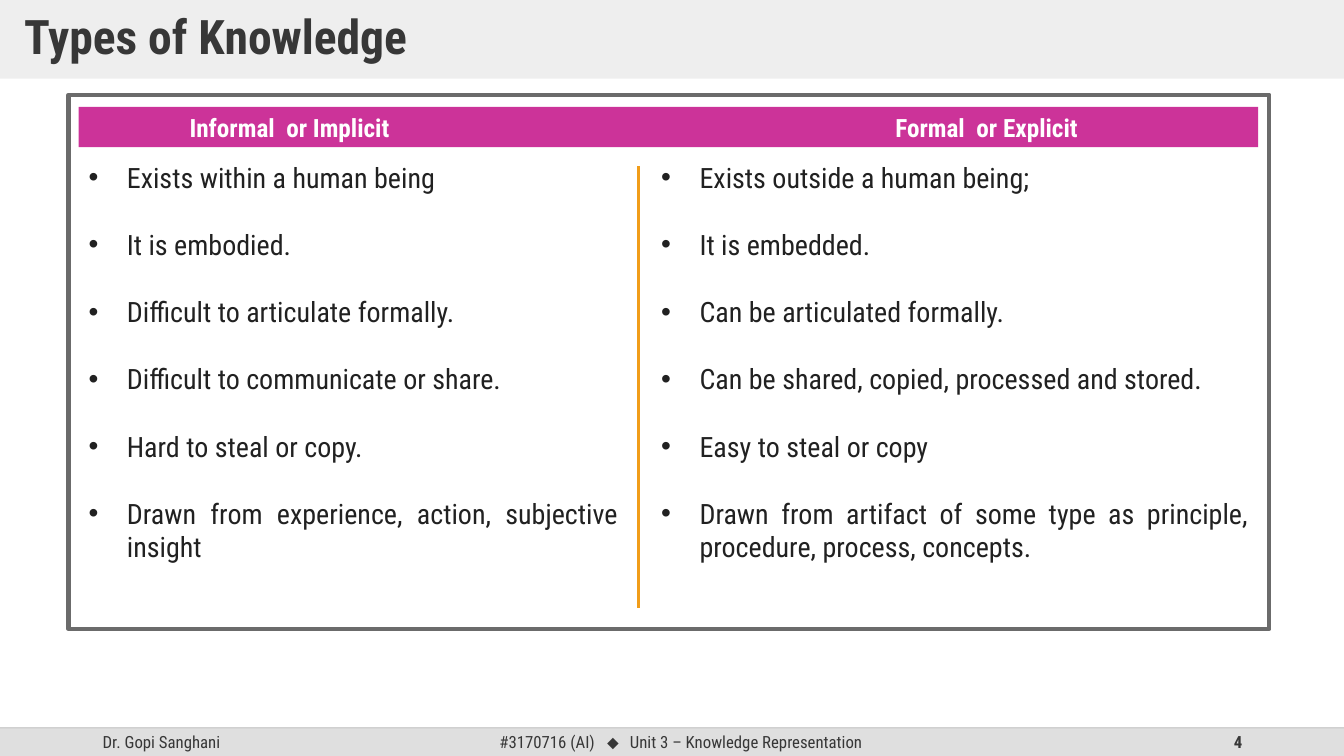
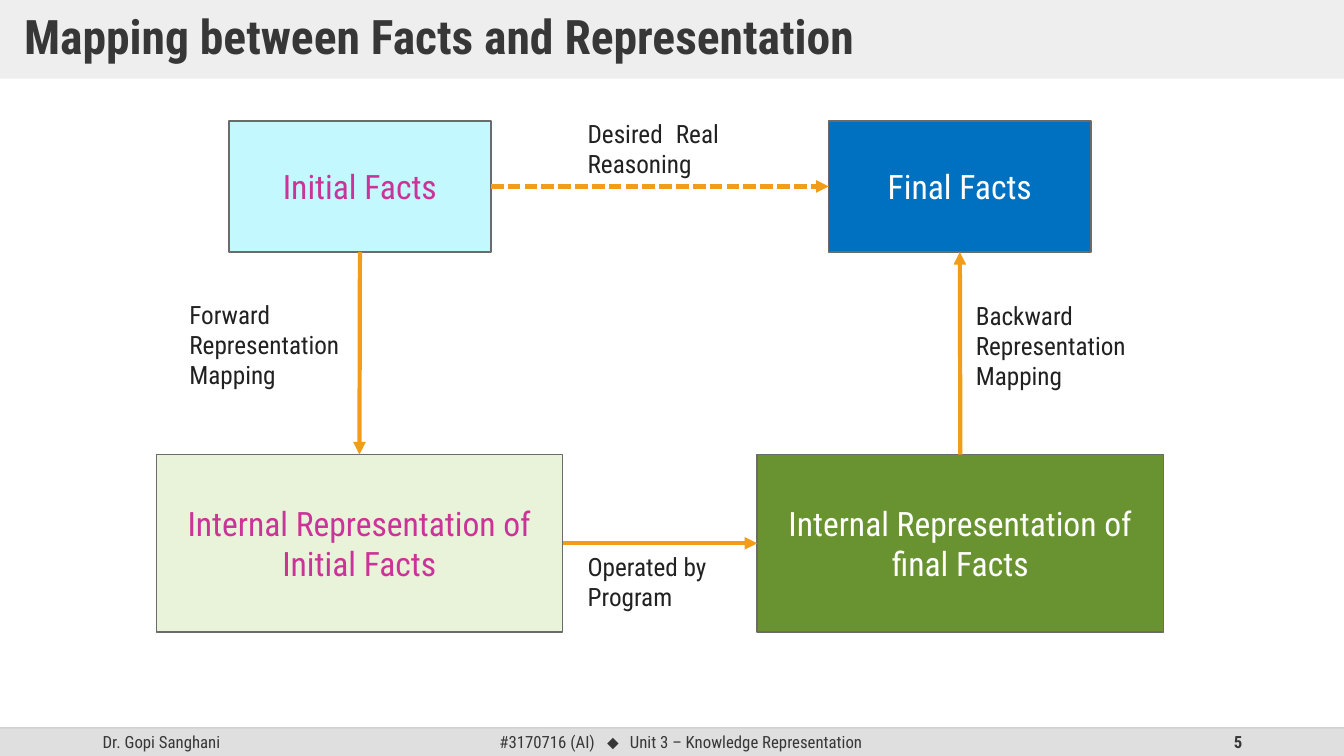
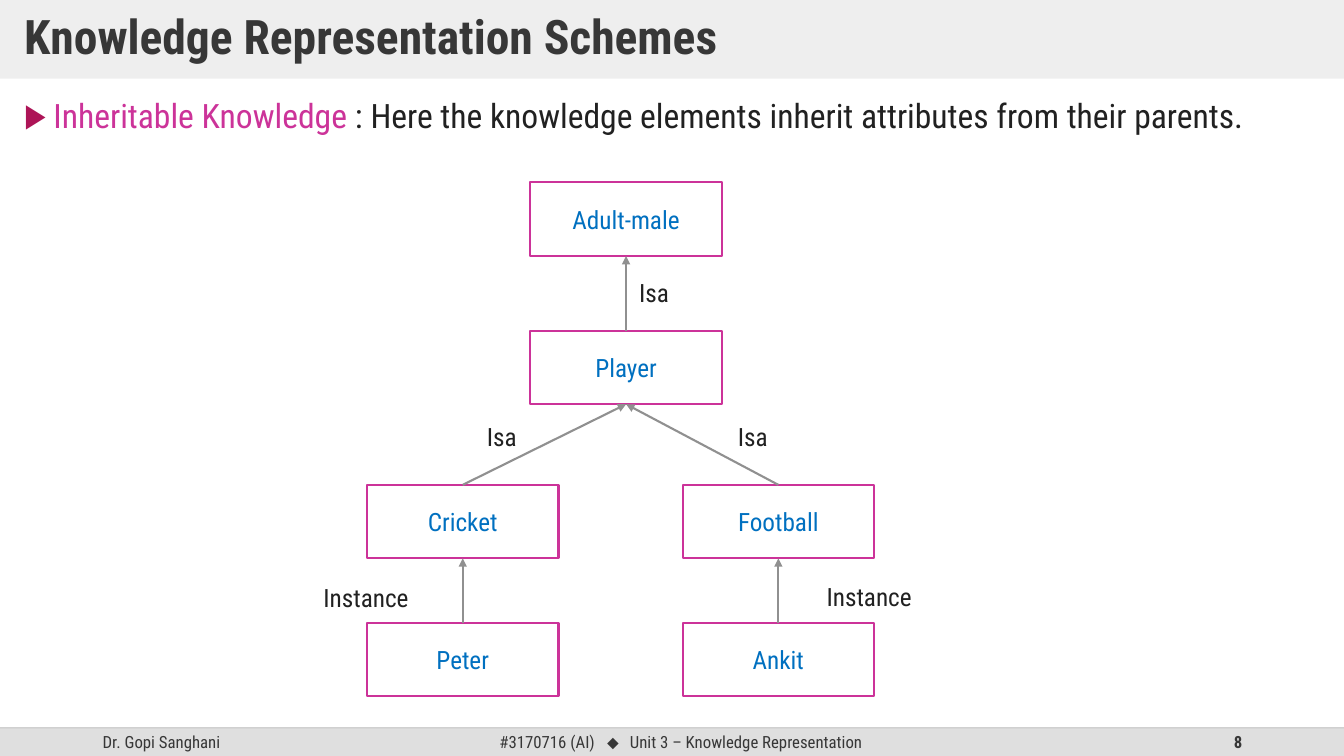
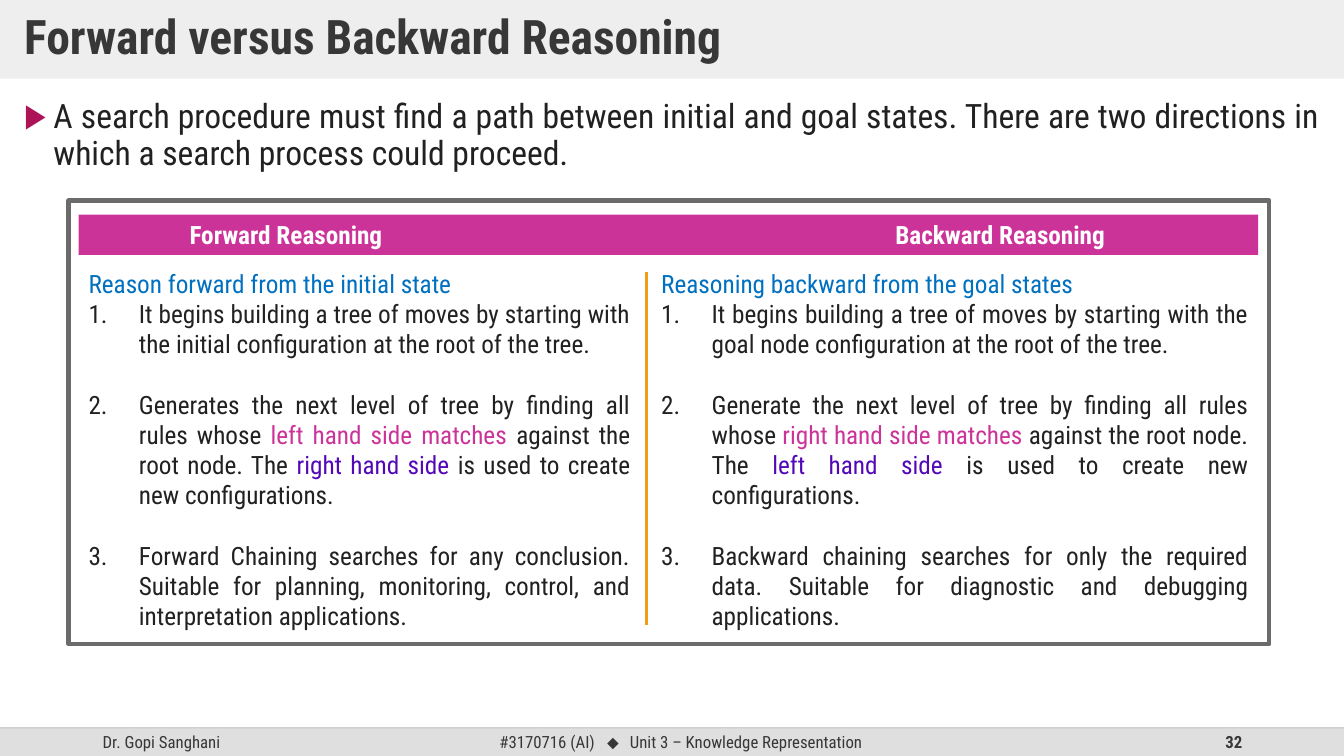
from lxml import etree
from pptx import Presentation
from pptx.dml.color import RGBColor
from pptx.enum.dml import MSO_LINE
from pptx.enum.shapes import MSO_CONNECTOR, MSO_SHAPE
from pptx.enum.text import MSO_ANCHOR, MSO_AUTO_SIZE, PP_ALIGN
from pptx.oxml.ns import qn
from pptx.util import Inches, Pt

LEFT, CENTER, RIGHT, JUSTIFY = PP_ALIGN.LEFT, PP_ALIGN.CENTER, PP_ALIGN.RIGHT, PP_ALIGN.JUSTIFY
TOP, MIDDLE = MSO_ANCHOR.TOP, MSO_ANCHOR.MIDDLE
RECT, STRAIGHT = MSO_SHAPE.RECTANGLE, MSO_CONNECTOR.STRAIGHT
DASH, NO_AUTOFIT = MSO_LINE.SQUARE_DOT, MSO_AUTO_SIZE.NONE
SITE_TOP, SITE_LEFT, SITE_BOTTOM, SITE_RIGHT = range(4)

FONT = "Roboto Condensed"
INK, DARK, WHITE, BAND, RULE = "212121", "373737", "FFFFFF", "DFDFDF", "BFBFBF"
PINK, BLUE, PURPLE, ORANGE = "CC3399", "0070C0", "5308B8", "F19D19"
GREY, LINK_GREY, MARKER = "6B6B6B", "909090", "AD1457"
WIDTH, HEIGHT, FOOT_TOP, FOOT_H = 13.33, 7.5, 7.22, 0.28

FOOTER = [
    ("Dr. Gopi Sanghani", 0.92, 3, LEFT, FONT),
    ("#3170716 (AI)", 4, 2, RIGHT, FONT),
    ("⬥", 5.83, 0.5, CENTER, "Arial"),
    ("Unit 3 – Knowledge Representation", 6.15, 3, LEFT, FONT),
]

KNOWLEDGE = {
    "headings": "Informal  or Implicit\tFormal  or Explicit",
    "columns": [
        ["Exists within a human being", "It is embodied.", "Difficult to articulate formally.",
         "Difficult to communicate or share.", "Hard to steal or copy.",
         "Drawn from experience, action, subjective insight"],
        ["Exists outside a human being;", "It is embedded.", "Can be articulated formally.",
         "Can be shared, copied, processed and stored.", "Easy to steal or copy",
         "Drawn from artifact of some type as principle, procedure, process, concepts."],
    ],
}

FACTS = {
    "initial": ("Initial Facts", 2.27, 1.2, 2.6, 1.3, "C3F8FF", PINK),
    "final": ("Final Facts", 8.22, 1.2, 2.6, 1.3, BLUE, WHITE),
    "initial_rep": ("Internal Representation of Initial Facts", 1.55, 4.51, 4.03, 1.76, "E8F3DA", PINK),
    "final_rep": ("Internal Representation of final Facts", 7.51, 4.51, 4.03, 1.76, "699331", WHITE),
}
FACT_LINKS = [
    ("initial", SITE_BOTTOM, "initial_rep", SITE_TOP, None),
    ("initial_rep", SITE_RIGHT, "final_rep", SITE_LEFT, None),
    ("final_rep", SITE_TOP, "final", SITE_BOTTOM, None),
    ("initial", SITE_RIGHT, "final", SITE_LEFT, DASH),
]
FACT_LABELS = [
    ("Operated by Program", 5.73, 5.42, 1.5, LEFT),
    ("Backward Representation Mapping", 9.58, 2.93, 1.7, LEFT),
    ("Desired Real Reasoning", 5.73, 1.12, 1.5, JUSTIFY),
    ("Forward Representation Mapping", 1.78, 2.92, 1.7, LEFT),
]

INHERITABLE = [("Inheritable Knowledge ", PINK),
               (": Here the knowledge elements inherit attributes from their parents.", INK)]
TREE = {
    "Adult-male": (5.26, 1.81),
    "Player": (5.26, 3.28),
    "Cricket": (3.64, 4.81),
    "Football": (6.77, 4.81),
    "Peter": (3.64, 6.18),
    "Ankit": (6.77, 6.18),
}
TREE_LINKS = [("Peter", "Cricket"), ("Ankit", "Football"), ("Cricket", "Player"),
              ("Football", "Player"), ("Player", "Adult-male")]
TREE_LABELS = [("Instance", 3.11, 5.73, 1.1), ("Instance", 8.1, 5.72, 1.1),
               ("Isa", 4.73, 4.13, 0.6), ("Isa", 7.22, 4.13, 0.6), ("Isa", 6.24, 2.7, 0.6)]

SEARCH = ("A search procedure must find a path between initial and goal states. "
          "There are two directions in which a search process could proceed.")
REASONING = {
    "headings": "Forward Reasoning\tBackward Reasoning",
    "leads": ["Reason forward from the initial state", "Reasoning backward from the goal states"],
    "columns": [
        ["It begins building a tree of moves by starting with the initial configuration "
         "at the root of the tree.",
         [("Generates the next level of tree by finding all rules whose ", INK),
          ("left hand side matches ", PINK), ("against the root node. The ", INK),
          ("right hand side ", PURPLE), ("is used to create new configurations.", INK)],
         "Forward Chaining searches for any conclusion. Suitable for planning, monitoring, "
         "control, and interpretation applications."],
        ["It begins building a tree of moves by starting with the goal node configuration "
         "at the root of the tree.",
         [("Generate the next level of tree by finding all rules whose ", INK),
          ("right hand side matches ", PINK), ("against the root node. The ", INK),
          ("left hand side ", PURPLE), ("is used to create new configurations.", INK)],
         "Backward chaining searches for only the required data. Suitable for diagnostic "
         "and debugging applications."],
    ],
}


def rgb(value):
    return RGBColor.from_string(value)


def add_text(tf, content, size=18, color=INK, bold=False, font=FONT, align=LEFT, new=False):
    p = tf.add_paragraph() if new else tf.paragraphs[0]
    p.alignment = align
    for text, run_color in [(content, color)] if isinstance(content, str) else content:
        r = p.add_run()
        r.text = text
        r.font.size, r.font.bold, r.font.name = Pt(size), bold, font
        r.font.color.rgb = rgb(run_color)
    return p


def set_bullet(p, indent, char=None, color=None):
    pPr = p._p.get_or_add_pPr()
    pPr.set("marL", str(Inches(indent)))
    pPr.set("indent", str(-Inches(indent)))
    if color:
        etree.SubElement(etree.SubElement(pPr, qn("a:buClr")), qn("a:srgbClr"), val=color)
    etree.SubElement(pPr, qn("a:buFont"), typeface="Arial")
    if char:
        etree.SubElement(pPr, qn("a:buChar"), char=char)
    else:
        etree.SubElement(pPr, qn("a:buAutoNum"), type="arabicPeriod")


def set_alpha(shape, percent):
    color = shape.element.xpath(".//p:spPr//a:solidFill/a:srgbClr")[0]
    etree.SubElement(color, qn("a:alpha"), val=str(percent * 1000))


def add_box(s, x, y, w, h, fill=None, line=None, weight=1):
    sp = s.shapes.add_shape(RECT, Inches(x), Inches(y), Inches(w), Inches(h))
    sp.shadow.inherit = False
    if fill:
        sp.fill.solid()
        sp.fill.fore_color.rgb = rgb(fill)
    else:
        sp.fill.background()
    if line:
        sp.line.color.rgb = rgb(line)
        sp.line.width = Pt(weight)
    else:
        sp.line.fill.background()
    sp.text_frame.word_wrap = True
    return sp


def add_label(s, x, y, w, h, anchor=TOP):
    tf = s.shapes.add_textbox(Inches(x), Inches(y), Inches(w), Inches(h)).text_frame
    tf.word_wrap = True
    tf.vertical_anchor = anchor
    return tf


def add_line(s, x1, y1, x2, y2, color, weight):
    cn = s.shapes.add_connector(STRAIGHT, Inches(x1), Inches(y1), Inches(x2), Inches(y2))
    cn.line.color.rgb = rgb(color)
    cn.line.width = Pt(weight)
    etree.SubElement(cn.element.spPr, qn("a:effectLst"))
    return cn


def add_arrow(s, start, start_site, end, end_site, color, weight, dash=None):
    cn = add_line(s, 0, 0, 1, 1, color, weight)
    cn.begin_connect(start, start_site)
    cn.end_connect(end, end_site)
    if dash:
        cn.line.dash_style = dash
    etree.SubElement(cn.line._get_or_add_ln(), qn("a:tailEnd"), type="triangle")


def add_footer_to_master(prs, s):
    shapes = [add_box(s, 0, FOOT_TOP, WIDTH, FOOT_H, fill=BAND)]
    for text, x, w, align, font in FOOTER:
        tf = add_label(s, x, FOOT_TOP, w, FOOT_H, MIDDLE)
        add_text(tf, text, size=12, color=DARK, font=font, align=align)
        shapes.append(s.shapes[-1])
    rule = add_line(s, 0, FOOT_TOP, WIDTH, FOOT_TOP, RULE, 1)
    set_alpha(rule, 70)
    for number, sp in enumerate(shapes + [rule], 101):
        sp.element.xpath(".//p:cNvPr")[0].set("id", str(number))
        prs.slide_master.shapes.element.append(sp.element)


def place(sp, x, y, w, h):
    sp.left, sp.top, sp.width, sp.height = Inches(x), Inches(y), Inches(w), Inches(h)
    sp.text_frame.word_wrap = True
    sp.text_frame.auto_size = NO_AUTOFIT
    return sp.text_frame


def add_slide(prs, title, number, body=None):
    s = prs.slides.add_slide(prs.slide_layouts[1 if body else 5])
    sp = s.shapes.title
    tf = place(sp, 0, 0, WIDTH, 0.78)
    sp.fill.solid()
    sp.fill.fore_color.rgb = rgb(BAND)
    set_alpha(sp, 50)
    tf.margin_left = tf.margin_right = Inches(0.24)
    tf.margin_top = tf.margin_bottom = Inches(0.12)
    tf.vertical_anchor = MIDDLE
    add_text(tf, title, size=34, color=DARK, bold=True).line_spacing = 0.9
    if body:
        tf = place(s.placeholders[1], 0.14, 0.94, 13.05, 6.11)
        tf.vertical_anchor = TOP
        p = add_text(tf, body, size=24, align=JUSTIFY)
        p.line_spacing, p.space_before = 0.9, Pt(10)
        set_bullet(p, 0.29, "▶", MARKER)
    tf = add_label(s, 9.42, FOOT_TOP, 3, FOOT_H, MIDDLE)
    add_text(tf, str(number), size=12, color=DARK, bold=True, align=RIGHT)
    return s


def add_comparison(s, data, top, height, bar_top, divider, size, indent, char=None):
    add_box(s, 0.68, top, 11.91, height, line=GREY, weight=3)
    tf = add_box(s, 0.78, bar_top, 11.7, 0.4, fill=PINK).text_frame
    tf.margin_left = Inches(1.1)
    p = add_text(tf, data["headings"], color=WHITE, bold=True)
    tabs = etree.SubElement(p._p.get_or_add_pPr(), qn("a:tabLst"))
    etree.SubElement(tabs, qn("a:tab"), pos=str(Inches(7)), algn="l")

    x, y1, y2, left_width = divider
    leads = data.get("leads", [None, None])
    for items, lead, left, w in zip(data["columns"], leads, (0.78, 6.46), (left_width, 6.02)):
        tf = add_label(s, left, bar_top + 0.48, w, top + height - bar_top - 0.52)
        if lead:
            add_text(tf, lead, size=size, color=BLUE, align=JUSTIFY)
        for i, item in enumerate(items):
            p = add_text(tf, item, size=size, align=JUSTIFY, new=bool(lead or i))
            p.space_before = Pt(size * 1.2 if i else 0)
            set_bullet(p, indent, char)
    add_line(s, x, y1, x, y2, ORANGE, 2.25)


def add_fact_map(s):
    boxes = {}
    for key, (text, x, y, w, h, fill, color) in FACTS.items():
        boxes[key] = add_box(s, x, y, w, h, fill=fill, line=GREY)
        add_text(boxes[key].text_frame, text, size=24, color=color, align=CENTER)
    for start, start_site, end, end_site, dash in FACT_LINKS:
        add_arrow(s, boxes[start], start_site, boxes[end], end_site, ORANGE, 3, dash)
    for text, x, y, w, align in FACT_LABELS:
        add_text(add_label(s, x, y, w, 0.7), text, align=align)


def add_tree(s):
    boxes = {}
    for text, (x, y) in TREE.items():
        boxes[text] = add_box(s, x, y, 1.9, 0.73, line=PINK, weight=1.5)
        add_text(boxes[text].text_frame, text, color=BLUE, align=CENTER)
    for child, parent in TREE_LINKS:
        add_arrow(s, boxes[child], SITE_TOP, boxes[parent], SITE_BOTTOM, LINK_GREY, 1.5)
    for text, x, y, w in TREE_LABELS:
        add_text(add_label(s, x, y, w, 0.4), text)


def main():
    prs = Presentation()
    prs.slide_width, prs.slide_height = Inches(WIDTH), Inches(HEIGHT)

    s = add_slide(prs, "Types of Knowledge", 4)
    add_footer_to_master(prs, s)
    add_comparison(s, KNOWLEDGE, 0.94, 5.3, 1.06, (6.33, 1.65, 6.03, 5.45), 20, 0.38, "•")

    add_fact_map(add_slide(prs, "Mapping between Facts and Representation", 5))
    add_tree(add_slide(prs, "Knowledge Representation Schemes", 8, INHERITABLE))

    s = add_slide(prs, "Forward versus Backward Reasoning", 32, SEARCH)
    add_comparison(s, REASONING, 1.99, 4.4, 2.13, (6.41, 2.7, 6.2, 5.57), 18, 0.5)

    prs.save("out.pptx")


if __name__ == "__main__":
    main()
